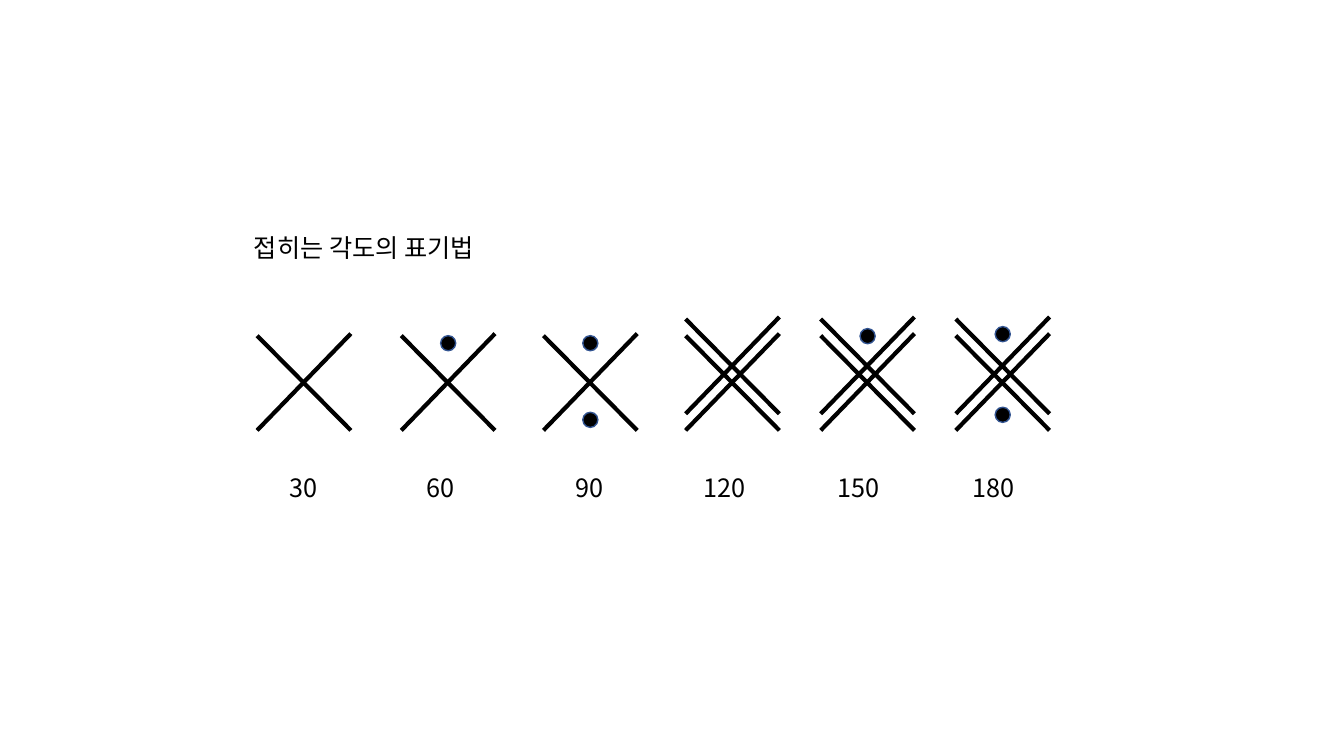
from lxml.etree import SubElement
from pptx import Presentation
from pptx.dml.color import RGBColor
from pptx.enum.shapes import MSO_CONNECTOR, MSO_SHAPE
from pptx.enum.text import MSO_AUTO_SIZE
from pptx.oxml.ns import qn
from pptx.util import Inches, Pt

BLACK = RGBColor(0x00, 0x00, 0x00)
DOT_EDGE = RGBColor(0x32, 0x54, 0x91)
FONT = "Noto Sans CJK KR"

# Shared measures of the signs, in inches
CROSS_W = 0.93
LEFT_ARM_TOP, RIGHT_ARM_TOP, CROSS_BOTTOM = 3.33, 3.31, 4.27
SECOND_CROSS_RISE = 0.165
DOT = 0.15
LABEL_TOP, LABEL_H = 4.64, 0.4

# Angle, left of cross, number of crosses, tops of dots, left and width of label
SIGNS = [
    ("30", 2.55, 1, [], 2.77, 0.48),
    ("60", 3.98, 1, [3.33], 4.13, 0.48),
    ("90", 5.39, 1, [3.33, 4.09], 5.61, 0.48),
    ("120", 6.80, 2, [], 6.88, 0.78),
    ("150", 8.14, 2, [3.26], 8.21, 0.78),
    ("180", 9.48, 2, [3.24, 4.04], 9.55, 0.78),
]

prs = Presentation()
prs.slide_width, prs.slide_height = Inches(13.33), Inches(7.5)
s = prs.slides.add_slide(prs.slide_layouts[6])


def add_text(text, left, top, width, height, size=18, color=BLACK, wrap=True):
    box = s.shapes.add_textbox(Inches(left), Inches(top), Inches(width), Inches(height))
    tf = box.text_frame
    tf.word_wrap = wrap
    tf.auto_size = MSO_AUTO_SIZE.SHAPE_TO_FIT_TEXT
    r = tf.paragraphs[0].add_run()
    r.text = text
    r.font.size = Pt(size)
    r.font.name = FONT
    r.font.color.rgb = color
    SubElement(r.font._element, qn("a:ea")).set("typeface", FONT)


def add_stroke(group, x1, y1, x2, y2):
    line = group.shapes.add_connector(
        MSO_CONNECTOR.STRAIGHT, Inches(x1), Inches(y1), Inches(x2), Inches(y2))
    line.line.color.rgb = BLACK
    line.line.width = Pt(3)
    SubElement(line._element.spPr, qn("a:effectLst"))


# Title
add_text("접히는 각도의 표기법", 2.42, 2.26, 2.65, 0.4, wrap=False)

# Angle signs: one or two crosses, their dots, and the angle below
for angle, left, crosses, dot_tops, label_left, label_w in SIGNS:
    group = s.shapes.add_group_shape()
    right = left + CROSS_W
    for level in reversed(range(crosses)):
        rise = level * SECOND_CROSS_RISE
        bottom = CROSS_BOTTOM - rise
        add_stroke(group, left, LEFT_ARM_TOP - rise, right, bottom)
        add_stroke(group, right, RIGHT_ARM_TOP - rise, left, bottom)
    for top in dot_tops:
        sp = group.shapes.add_shape(
            MSO_SHAPE.OVAL, Inches(left + (CROSS_W - DOT) / 2), Inches(top),
            Inches(DOT), Inches(DOT))
        sp.shadow.inherit = False
        sp.fill.solid()
        sp.fill.fore_color.rgb = BLACK
        sp.line.color.rgb = DOT_EDGE
        sp.line.width = Pt(1)
    add_text(angle, label_left, LABEL_TOP, label_w, LABEL_H)

prs.save("out.pptx")
